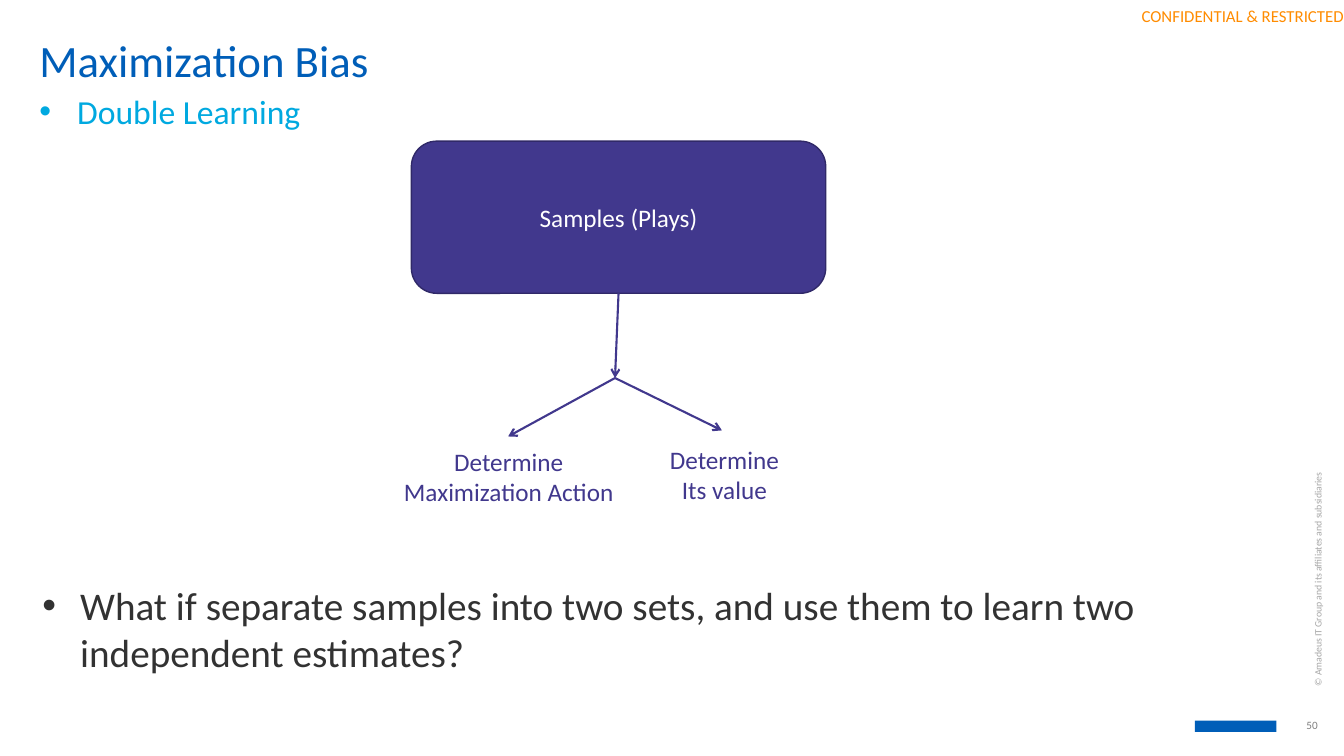
from lxml import etree
from pptx import Presentation
from pptx import util as u
from pptx.dml.color import RGBColor
from pptx.enum import shapes, text
from pptx.oxml import ns

BLUE, CYAN, PURPLE = "005EB8", "00A9E0", "41388D"
LEFT, MID, RIGHT = text.PP_ALIGN.LEFT, text.PP_ALIGN.CENTER, text.PP_ALIGN.RIGHT
TOP, CENTER = text.MSO_ANCHOR.TOP, text.MSO_ANCHOR.MIDDLE


def color(code):
    return RGBColor.from_string(code)


def add(parent, tag, **attrs):
    return etree.SubElement(parent, ns.qn(tag), attrs)


def place(shape, left, top, width, height):
    shape.left, shape.top = u.Inches(left), u.Inches(top)
    shape.width, shape.height = u.Inches(width), u.Inches(height)


def write(shape, words, size, code, align=LEFT, anchor=TOP, pad=(0.1, 0.05, 0.1, 0.05)):
    frame = shape.text_frame
    frame.text = words
    frame.word_wrap = True
    frame.auto_size = text.MSO_AUTO_SIZE.NONE
    frame.vertical_anchor = anchor
    (frame.margin_left, frame.margin_top,
     frame.margin_right, frame.margin_bottom) = map(u.Inches, pad)
    for para in frame.paragraphs:
        para.alignment = align
        para.space_before = u.Pt(0)
        for run in para.runs:
            run.font.name = "Calibri"
            run.font.size = u.Pt(size)
            run.font.color.rgb = color(code)


def label(slide, box, words, size, code, **style):
    shape = slide.shapes.add_textbox(*map(u.Inches, box))
    write(shape, words, size, code, **style)
    return shape


def block(slide, kind, box, fill, line=None):
    shape = slide.shapes.add_shape(kind, *map(u.Inches, box))
    shape.shadow.inherit = False
    shape.fill.solid()
    shape.fill.fore_color.rgb = color(fill)
    if line:
        shape.line.color.rgb = color(line)
        shape.line.width = u.Pt(1)
    else:
        shape.line.fill.background()
    return shape


def arrow(slide, start, end):
    link = slide.shapes.add_connector(
        shapes.MSO_CONNECTOR.STRAIGHT, *map(u.Inches, start + end))
    link.line.color.rgb = color(PURPLE)
    link.line.width = u.Pt(1.5)
    add(link.line._get_or_add_ln(), "a:tailEnd", type="arrow")
    add(link._element.spPr, "a:effectLst")
    return link


def bullet(shape, indent, mark=None):
    props = shape.text_frame.paragraphs[0]._p.get_or_add_pPr()
    props.set("marL", str(u.Inches(indent)))
    props.set("indent", str(-u.Inches(indent)))
    if mark:
        add(add(props, "a:buClr"), "a:srgbClr", val=CYAN)
        add(props, "a:buSzPct", val="80000")
        add(props, "a:buChar", char=mark)
    else:
        add(props, "a:buNone")


def heads(slide):
    title, sub, body = slide.placeholders
    place(title, 0.29, 0.32, 12.31, 0.53)
    write(title, "Maximization Bias", 32, BLUE, pad=(0.1, 0, 0.1, 0.05))
    place(sub, 0.29, 0.85, 12.28, 0.51)
    bullet(sub, 0)
    write(sub, "Double Learning", 24, CYAN)
    place(body, 0.32, 5.72, 12.28, 1.18)
    bullet(body, 0.14, "_")
    write(body, "What if separate samples into two sets, and use them "
          "to learn two independent estimates?", 28, "323232")


def diagram(slide):
    box = block(slide, shapes.MSO_SHAPE.ROUNDED_RECTANGLE,
                (4.08, 1.4, 4.11, 1.51), PURPLE, "302968")
    write(box, "Samples (Plays)", 18, "FFFFFF", align=MID, anchor=CENTER)
    fork = (6.1, 3.75)
    arrow(slide, (6.14, 2.91), fork).begin_connect(box, 2)
    for end in ((5.04, 4.33), (7.16, 4.27)):
        arrow(slide, fork, end)
    label(slide, (3.84, 4.38, 2.41, 0.71), "Determine Maximization Action",
          18, PURPLE, align=MID)
    label(slide, (5.98, 4.36, 2.41, 0.71), "Determine\nIts value",
          18, PURPLE, align=MID)


def edges(slide):
    flush = (0, 0, 0, 0)
    block(slide, shapes.MSO_SHAPE.RECTANGLE, (11.85, 7.15, 0.81, 0.11), BLUE)
    label(slide, (10.94, 0, 2.39, 0.32), "CONFIDENTIAL & RESTRICTED",
          12, "FF8C00", align=RIGHT, anchor=CENTER, pad=flush)
    label(slide, (12.88, 7.13, 0.27, 0.13), "50",
          8, "808080", align=MID, anchor=CENTER, pad=flush)
    note = label(slide, (11.38, 5.09, 3.38, 0.25),
                 "© Amadeus IT Group and its affiliates and subsidiaries",
                 7, "A6A6A6", anchor=CENTER)
    note.rotation = 270


def main():
    deck = Presentation()
    deck.slide_width, deck.slide_height = u.Inches(13.33), u.Inches(7.5)
    slide = deck.slides.add_slide(deck.slide_layouts.get_by_name("Two Content"))
    for spare in list(slide.placeholders)[3:]:
        spare._element.getparent().remove(spare._element)
    heads(slide)
    edges(slide)
    diagram(slide)
    deck.save("out.pptx")


if __name__ == "__main__":
    main()
